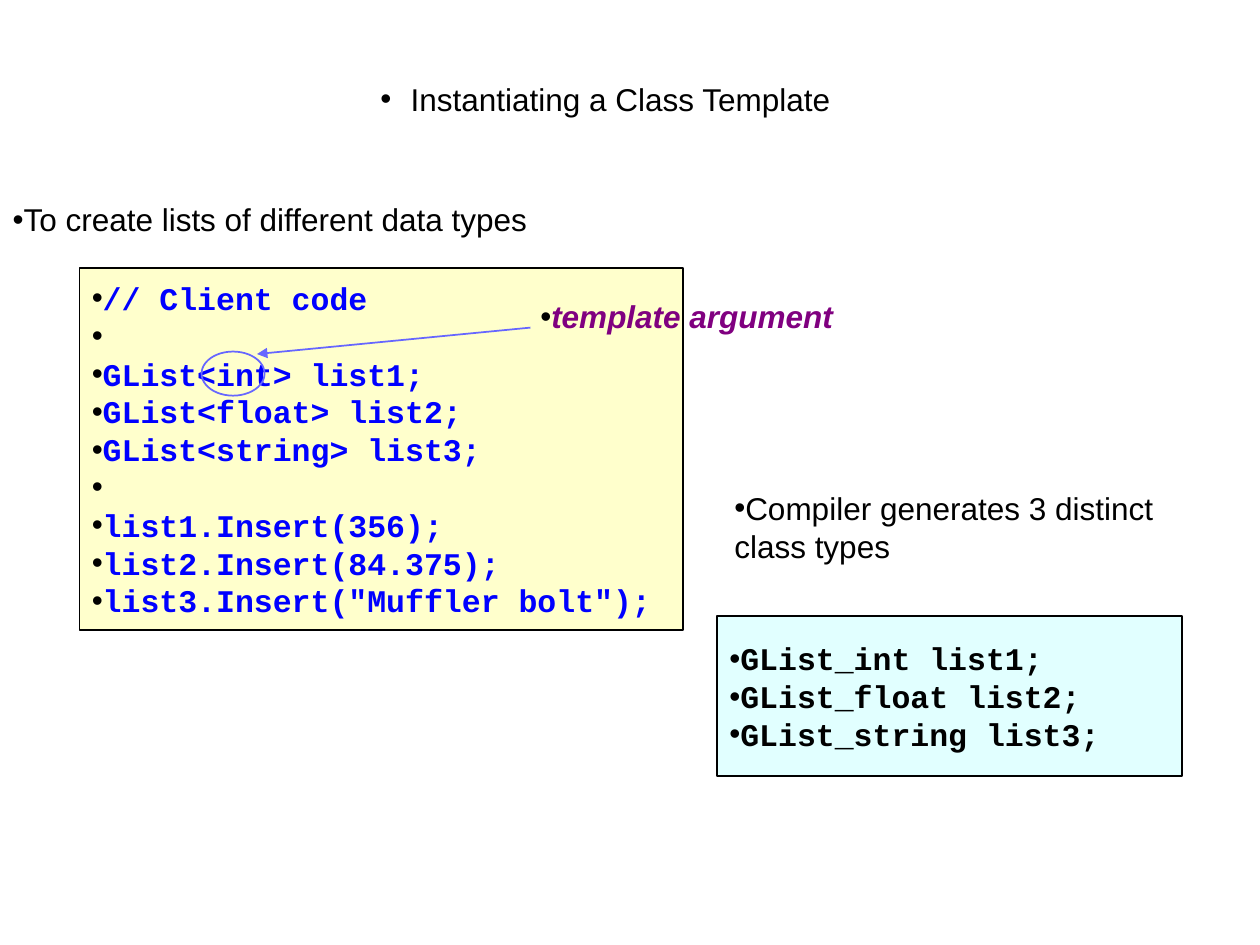
from lxml import etree
from pptx import Presentation
from pptx import util as u
from pptx.dml.color import RGBColor
from pptx.enum import shapes, text
from pptx.oxml.ns import qn

BLACK, VIOLET = "000000", "6666FF"


def rgb(code):
    return RGBColor.from_string(code)


def write_bullets(sp, lines, font="Arial", color=BLACK, bold=False, italic=False,
                  align=text.PP_ALIGN.LEFT, anchor=text.MSO_ANCHOR.TOP,
                  wrap=True, hang=0):
    """Fill a shape with bulleted 18 pt lines; hang is the bullet gap in inches."""
    tf = sp.text_frame
    tf.text = "\n".join(lines)
    tf.auto_size = text.MSO_AUTO_SIZE.NONE
    tf.word_wrap, tf.vertical_anchor = wrap, anchor
    for p in tf.paragraphs:
        p.alignment, p.space_before = align, u.Pt(0)
        p.font.name, p.font.size = font, u.Pt(18)
        p.font.bold, p.font.italic = bold, italic
        p.font.color.rgb = rgb(color)
        pPr = p._p.get_or_add_pPr()
        for side, inches in (("marL", hang), ("marR", hang), ("indent", -hang)):
            pPr.set(side, str(u.Inches(inches)))
        bullet = [etree.Element(qn(tag)) for tag in ("a:buClr", "a:buFont", "a:buChar")]
        etree.SubElement(bullet[0], qn("a:srgbClr"), val=BLACK)
        bullet[1].set("typeface", "Arial")
        bullet[2].set("char", "•")
        for offset, el in enumerate(bullet):
            pPr.insert(pPr.index(pPr.find(qn("a:defRPr"))), el)


prs = Presentation()
prs.slide_width, prs.slide_height = u.Inches(10), u.Inches(7.5)
s = prs.slides.add_slide(prs.slide_layouts[1])

# Title and lead line
title, body = s.shapes.title, s.placeholders[1]
for sp, box in ((title, (0.67, 0.16, 8.58, 1.25)), (body, (0, 1.54, 6.6, 0.5))):
    sp.left, sp.top, sp.width, sp.height = map(u.Inches, box)
write_bullets(title, ["Instantiating a Class Template "], hang=0.24,
              align=text.PP_ALIGN.CENTER, anchor=text.MSO_ANCHOR.MIDDLE)
write_bullets(body, ["To create lists of different data types"])

# Code panels
client_code = [
    "// Client code",
    " ",
    "GList<int> list1;",
    "GList<float> list2;",
    "GList<string> list3;",
    " ",
    "list1.Insert(356);",
    "list2.Insert(84.375);",
    'list3.Insert("Muffler bolt");',
]
generated_code = ["GList_int list1;", "GList_float list2;", "GList_string list3;"]
for box, fill, color, lines in (
    ((0.63, 2.13, 4.79, 2.87), "FFFFCC", "0000FF", client_code),
    ((5.69, 4.89, 3.69, 1.27), "E1FFFF", BLACK, generated_code),
):
    sp = s.shapes.add_shape(shapes.MSO_SHAPE.RECTANGLE, *map(u.Inches, box))
    sp.shadow.inherit = False
    sp.fill.solid()
    sp.fill.fore_color.rgb = rgb(fill)
    sp.line.color.rgb, sp.line.width = rgb(BLACK), u.Pt(1)
    write_bullets(sp, lines, "Courier New", color, bold=True,
                  anchor=text.MSO_ANCHOR.MIDDLE, wrap=False)

# Ring around the template argument, with the arrow from its label
ring = s.shapes.add_shape(shapes.MSO_SHAPE.OVAL,
                          *map(u.Inches, (1.6, 2.79, 0.5, 0.35)))
ring.shadow.inherit = False
ring.fill.background()
arrow = s.shapes.add_connector(shapes.MSO_CONNECTOR.STRAIGHT,
                               *map(u.Inches, (4.21, 2.6, 2.04, 2.81)))
for sp in (ring, arrow):
    sp.line.color.rgb, sp.line.width = rgb(VIOLET), u.Pt(1)
etree.SubElement(arrow.line._get_or_add_ln(), qn("a:tailEnd"), type="triangle")
etree.SubElement(arrow._element.spPr, qn("a:effectLst"))

# Notes beside the code
label = s.shapes.add_textbox(*map(u.Inches, (4.19, 2.31, 2.43, 0.4)))
write_bullets(label, ["template argument"], color="800080", bold=True, italic=True,
              wrap=False)
note = s.shapes.add_textbox(*map(u.Inches, (5.73, 3.83, 3.64, 0.9)))
write_bullets(note, ["Compiler generates 3 distinct class types"])

prs.save("out.pptx")
